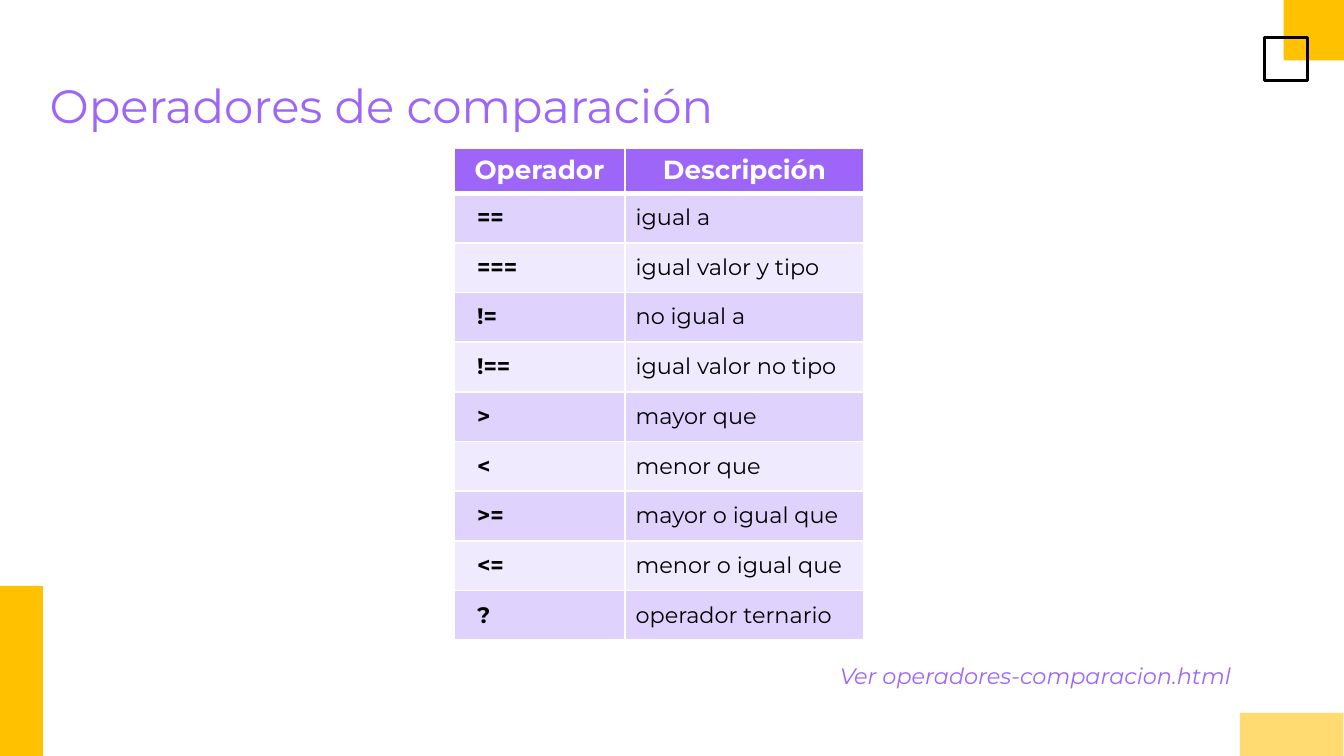
"""Builds a slide that lists the comparison operators in a table."""
from lxml import etree
from pptx import Presentation
from pptx.dml.color import RGBColor
from pptx.enum.shapes import MSO_SHAPE
from pptx.enum.text import MSO_ANCHOR, MSO_AUTO_SIZE, PP_ALIGN
from pptx.oxml.ns import qn
from pptx.util import Inches, Pt

RECTANGLE = MSO_SHAPE.RECTANGLE
TOP = MSO_ANCHOR.TOP
NO_AUTOFIT = MSO_AUTO_SIZE.NONE
LEFT, CENTER = PP_ALIGN.LEFT, PP_ALIGN.CENTER

COLORS = {
    "amber": "FFC100",
    "pale_amber": "FFDB71",
    "violet": "9D66F9",
    "lilac": "DFD3FD",
    "pale_lilac": "EFEAFE",
    "black": "000000",
    "white": "FFFFFF",
}
OPERATORS = [
    ("==", "igual a"),
    ("===", "igual valor y tipo"),
    ("!=", "no igual a"),
    ("!==", "igual valor no tipo"),
    (">", "mayor que"),
    ("<", "menor que"),
    (">=", "mayor o igual que"),
    ("<=", "menor o igual que"),
    ("?", "operador ternario"),
]


class OperatorSlide:
    """Holds the style and the slide, on a grid of 100 columns by 56.25 rows."""

    font = "Montserrat"
    unit = Inches(0.1)

    def __init__(self, deck):
        deck.slide_width, deck.slide_height = self.grid(100, 56.25)
        self.slide = deck.slides.add_slide(deck.slide_layouts[5])

    def grid(self, *steps):
        return [round(step * self.unit) for step in steps]

    def color(self, name):
        return RGBColor.from_string(COLORS[name])

    def put_text(self, frame, text, size, color, align=LEFT, bold=False, italic=False):
        frame.text = text
        paragraph = frame.paragraphs[0]
        paragraph.alignment = align
        font = paragraph.runs[0].font
        font.name, font.size = self.font, Pt(size)
        font.bold, font.italic = bold, italic
        font.color.rgb = self.color(color)

    def fit(self, frame):
        frame.word_wrap, frame.auto_size = True, NO_AUTOFIT
        frame.vertical_anchor = TOP
        frame.margin_left = frame.margin_right = self.unit
        frame.margin_top = frame.margin_bottom = self.unit

    def block(self, *area, fill=None, line=None, rotation=0):
        block = self.slide.shapes.add_shape(RECTANGLE, *self.grid(*area))
        block.shadow.inherit = False
        block.rotation = rotation
        if fill:
            block.fill.solid()
            block.fill.fore_color.rgb = self.color(fill)
        else:
            block.fill.background()
        if line:
            block.line.color.rgb = self.color(line)
            block.line.width = Pt(1.5)
        else:
            block.line.fill.background()

    def title(self, text, *area):
        title = self.slide.shapes.title
        title.left, title.top, title.width, title.height = self.grid(*area)
        self.fit(title.text_frame)
        self.put_text(title.text_frame, text, 25, "violet")

    def note(self, text, *area):
        note = self.slide.shapes.add_textbox(*self.grid(*area))
        self.fit(note.text_frame)
        self.put_text(note.text_frame, text, 12, "violet", italic=True)

    def border(self, cell, **widths):
        properties = cell._tc.get_or_add_tcPr()
        for side in "LRTB":
            edge = etree.SubElement(
                properties, qn(f"a:ln{side}"), w=str(Pt(widths.get(side, 1)))
            )
            paint = etree.SubElement(edge, qn("a:solidFill"))
            etree.SubElement(paint, qn("a:srgbClr"), val=COLORS["white"])

    def paint(self, cell, fill):
        cell.fill.solid()
        cell.fill.fore_color.rgb = self.color(fill)

    def table(self, headings, rows, left, top, widths, head_height, row_height):
        heights = [head_height] + [row_height] * len(rows)
        area = self.grid(left, top, sum(widths), sum(heights))
        table = self.slide.shapes.add_table(len(heights), len(widths), *area).table
        for column, width in zip(table.columns, self.grid(*widths)):
            column.width = width
        for row, height in zip(table.rows, self.grid(*heights)):
            row.height = height
        for column, heading in enumerate(headings):
            cell = table.cell(0, column)
            self.border(cell, B=3)
            self.paint(cell, "violet")
            self.put_text(cell.text_frame, heading, 14, "white", CENTER, bold=True)
        for number, texts in enumerate(rows, 1):
            for column, text in enumerate(texts):
                cell = table.cell(number, column)
                self.border(cell, T=3 if number == 1 else 1)
                self.paint(cell, "lilac" if number % 2 else "pale_lilac")
                inset, side = self.grid(0.8, 0.8 if column else 1.7)
                cell.margin_left = side
                cell.margin_right = cell.margin_top = cell.margin_bottom = inset
                self.put_text(cell.text_frame, text, 12, "black", bold=column == 0)


def main():
    deck = Presentation()
    page = OperatorSlide(deck)
    page.block(95.5, 0, 4.5, 4.5, fill="amber")
    page.block(0, 43.6, 3.2, 12.7, fill="amber")
    page.block(94.1, 2.8, 3.2, 3.2, line="black")
    page.block(94.5, 50.8, 3.2, 7.7, fill="pale_amber", rotation=90)
    page.title("Operadores de comparación", 2.7, 4.7, 94.7, 6.3)
    page.table(
        ("Operador", "Descripción"), OPERATORS, 33.8, 11, (12.7, 17.8), 3.3, 3.7
    )
    page.note("Ver operadores-comparacion.html", 61.5, 48.3, 31.9, 4.6)
    deck.save("out.pptx")


if __name__ == "__main__":
    main()
